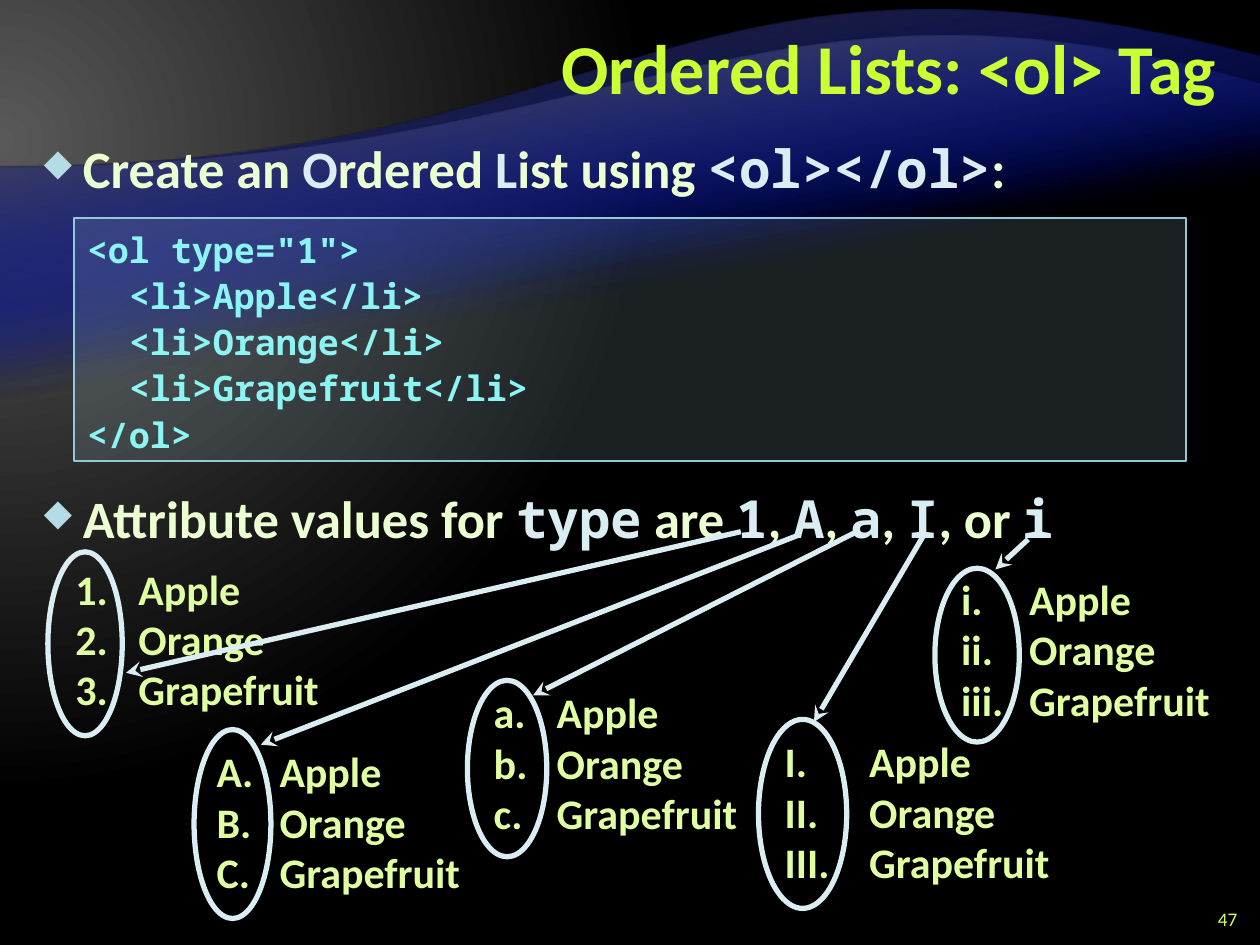
from lxml.etree import SubElement
from pptx import Presentation
from pptx.dml.color import RGBColor
from pptx.enum.shapes import MSO_CONNECTOR as Connector, MSO_SHAPE as Shape
from pptx.enum.text import MSO_ANCHOR as Anchor, MSO_AUTO_SIZE as AutoSize, PP_ALIGN as Align
from pptx.oxml import parse_xml
from pptx.oxml.ns import nsdecls, qn
from pptx.util import Inches, Pt

SANS, MONO = "Calibri", "Noto Sans Mono"
COLORS = {
    "title": "CCFF33", "body": "EBFFD2", "accent": "DAEDF2", "bullet": "B5DBE5",
    "list": "E0FFA3", "number": "CCFF66", "code": "8CF4F2", "code_border": "90CAD7",
    "wave": "000D9E", "wave_dark": "262626", "gray": "595959", "black": "000000",
}
FRUITS = ["Apple", "Orange", "Grapefruit"]
# numbering, text box, indent, arrow start, arrow end, ellipse
LISTS = [
    ("arabicPeriod", (0.5, 4.42, 2.21, 1.31), 0.5,
     (5.88, 4.22), (1, 5.34), (0.38, 4.38, 0.59, 1.46)),
    ("alphaUcPeriod", (1.62, 5.87, 2.21, 1.31), 0.5,
     (6.33, 4.25), (2.07, 5.91), (1.54, 5.79, 0.61, 1.5)),
    ("alphaLcPeriod", (3.82, 5.4, 2.21, 1.31), 0.5,
     (6.8, 4.22), (4.23, 5.52), (3.71, 5.4, 0.63, 1.4)),
    ("romanUcPeriod", (6.13, 5.79, 2.37, 1.31), 0.67,
     (7.33, 4.25), (6.46, 5.73), (6.02, 5.71, 0.7, 1.5)),
    ("romanLcPeriod", (7.53, 4.5, 2.25, 1.31), 0.54,
     (8.16, 4.28), (7.9, 4.52), (7.42, 4.51, 0.67, 1.38)),
]
CODE = ['<ol type="1">', *(f"  <li>{fruit}</li>" for fruit in FRUITS), "</ol>"]


def inches(values):
    return [Inches(value) for value in values]


def rgb(name):
    return RGBColor.from_string(COLORS[name])


def apply_format(target, **values):
    for name, value in values.items():
        setattr(target, name, value)


def set_gradient(parent, stops, direction):
    """Replace the solid fill in parent; a stop is (percent, color, opacity)."""
    stop_xml = "".join(
        f'<a:gs pos="{position * 1000}"><a:srgbClr val="{COLORS[color]}">'
        f'<a:alpha val="{opacity * 1000}"/></a:srgbClr></a:gs>'
        for position, color, opacity in stops)
    gradient = parse_xml(f'<a:gradFill {nsdecls("a")} rotWithShape="1">'
                         f'<a:gsLst>{stop_xml}</a:gsLst>{direction}</a:gradFill>')
    parent.replace(parent.find(qn("a:solidFill")), gradient)


def set_background(slide):
    slide.background.fill.solid()
    set_gradient(slide._element.find(".//" + qn("p:bgPr")),
                 [(0, "gray", 100), (83, "black", 100)],
                 '<a:path path="circle">'
                 '<a:fillToRect l="20000" t="30000" r="135000" b="100000"/></a:path>')


def add_wave(slide, left_y, right_y, bottom, controls, color):
    """Add a full-width area whose top edge is a Bézier curve."""
    units = 100
    builder = slide.shapes.build_freeform(10 * units, round(bottom * units),
                                          scale=Inches(1) / units)
    builder.add_line_segments([(0, round(bottom * units)), (0, round(left_y * units)),
                               (10 * units, round(right_y * units))])
    wave = builder.convert_to_shape()
    wave.shadow.inherit = False
    wave.line.fill.background()
    wave.fill.solid()
    set_gradient(wave._element.spPr, [(65, "wave", 0), (100, color, 100)],
                 '<a:lin ang="15600000" scaled="0"/>')
    top_edge = wave._element.findall(".//" + qn("a:lnTo"))[2]
    curve = parse_xml(f'<a:cubicBezTo {nsdecls("a")}/>')
    for x, y in [*controls, (10, right_y)]:
        SubElement(curve, qn("a:pt"), x=str(round(x * units)),
                   y=str(round((y - right_y) * units)))
    top_edge.getparent().replace(top_edge, curve)


def add_text_box(slide, box, **frame_format):
    frame = slide.shapes.add_textbox(*inches(box)).text_frame
    apply_format(frame, **{"word_wrap": True, **frame_format})
    return frame


def write_paragraph(frame, index, runs, size, bold=True, **paragraph_format):
    """Write runs of (text, font, color) as the paragraph at index."""
    paragraph = frame.paragraphs[0] if index == 0 else frame.add_paragraph()
    apply_format(paragraph, **paragraph_format)
    for text, font, color in runs:
        run = paragraph.add_run()
        run.text = text
        apply_format(run.font, name=font, size=Pt(size), bold=bold)
        run.font.color.rgb = rgb(color)
    return paragraph


def set_bullet(paragraph, indent, *elements):
    properties = paragraph._p.get_or_add_pPr()
    properties.set("marL", str(Inches(indent)))
    properties.set("indent", str(-Inches(indent)))
    for tag, attributes in elements:
        SubElement(properties, qn(tag), attributes)


def add_body(slide):
    def plain(text):
        return text, SANS, "body"

    def code(text):
        return text, MONO, "accent"

    lines = [
        [plain("Create an "), ("O", SANS, "accent"), plain("rdered "),
         ("L", SANS, "accent"), plain("ist using "), code("<ol></ol>"), plain(":")],
        [plain("Attribute values for "), code("type"), plain(" are "), code("1"),
         plain(", "), code("A"), plain(", "), code("a"), plain(", "), code("I"),
         plain(", or "), code("i")],
    ]
    frame = add_text_box(slide, (0.25, 1, 9.5, 6.25))
    for index, (runs, space) in enumerate(zip(lines, (6, 156))):
        paragraph = write_paragraph(frame, index, runs, 30, line_spacing=Pt(38),
                                    space_before=Pt(space), space_after=Pt(6))
        set_bullet(paragraph, 0.31, ("a:buClr", {}), ("a:buSzPct", {"val": "70000"}),
                   ("a:buChar", {"char": "◆"}))
        SubElement(paragraph._p.pPr.find(qn("a:buClr")), qn("a:srgbClr"),
                   val=COLORS["bullet"])


def add_fruit_list(slide, numbering, box, indent):
    frame = add_text_box(slide, box, word_wrap=False,
                         auto_size=AutoSize.SHAPE_TO_FIT_TEXT)
    for index, fruit in enumerate(FRUITS):
        paragraph = write_paragraph(frame, index, [(fruit, SANS, "list")], 24)
        set_bullet(paragraph, indent, ("a:buAutoNum", {"type": numbering}))


def add_arrow(slide, start, end):
    arrow = slide.shapes.add_connector(Connector.STRAIGHT, *inches(start + end))
    arrow.line.color.rgb = rgb("accent")
    arrow.line.width = Pt(3)
    SubElement(arrow.line._get_or_add_ln(), qn("a:tailEnd"), type="stealth")
    SubElement(arrow._element.spPr, qn("a:effectLst"))


def add_outlined(slide, kind, box, color, width):
    shape = slide.shapes.add_shape(kind, *inches(box))
    shape.shadow.inherit = False
    shape.fill.background()
    shape.line.color.rgb = rgb(color)
    shape.line.width = Pt(width)
    return shape


def add_code_box(slide):
    box = add_outlined(slide, Shape.RECTANGLE, (0.59, 1.73, 8.82, 1.93), "code_border", 1)
    box.fill.solid()
    box.fill.fore_color.rgb = rgb("bullet")
    color = box._element.spPr.find(qn("a:solidFill")).find(qn("a:srgbClr"))
    SubElement(color, qn("a:alpha"), val="15000")
    frame = box.text_frame
    apply_format(frame, word_wrap=True, vertical_anchor=Anchor.TOP,
                 auto_size=AutoSize.SHAPE_TO_FIT_TEXT)
    for index, line in enumerate(CODE):
        write_paragraph(frame, index, [(line, MONO, "code")], 20,
                        alignment=Align.LEFT, line_spacing=1.1)


def main():
    presentation = Presentation()
    apply_format(presentation, slide_width=Inches(10), slide_height=Inches(7.5))
    slide = presentation.slides.add_slide(presentation.slide_layouts[6])
    set_background(slide)
    for _ in range(2):
        add_wave(slide, 1.33, 0.45, 6.53, [(5, 1.33), (5.34, -0.75)], "wave_dark")
        add_wave(slide, 1.33, 0.67, 5.57, [(5, 1.33), (5.98, -0.49)], "gray")

    title = add_text_box(slide, (2, 0.08, 7.75, 1), vertical_anchor=Anchor.MIDDLE)
    write_paragraph(title, 0, [("Ordered Lists: <ol> Tag", SANS, "title")], 40,
                    alignment=Align.RIGHT, line_spacing=Pt(40))
    add_body(slide)
    number = add_text_box(slide, (9.42, 7.17, 0.5, 0.25), vertical_anchor=Anchor.MIDDLE)
    write_paragraph(number, 0, [("47", SANS, "number")], 11, bold=False,
                    alignment=Align.RIGHT)

    for numbering, box, indent, start, end, ellipse in LISTS:
        add_fruit_list(slide, numbering, box, indent)
        add_arrow(slide, start, end)
        add_outlined(slide, Shape.OVAL, ellipse, "accent", 3)
    add_code_box(slide)
    presentation.save("out.pptx")


if __name__ == "__main__":
    main()
